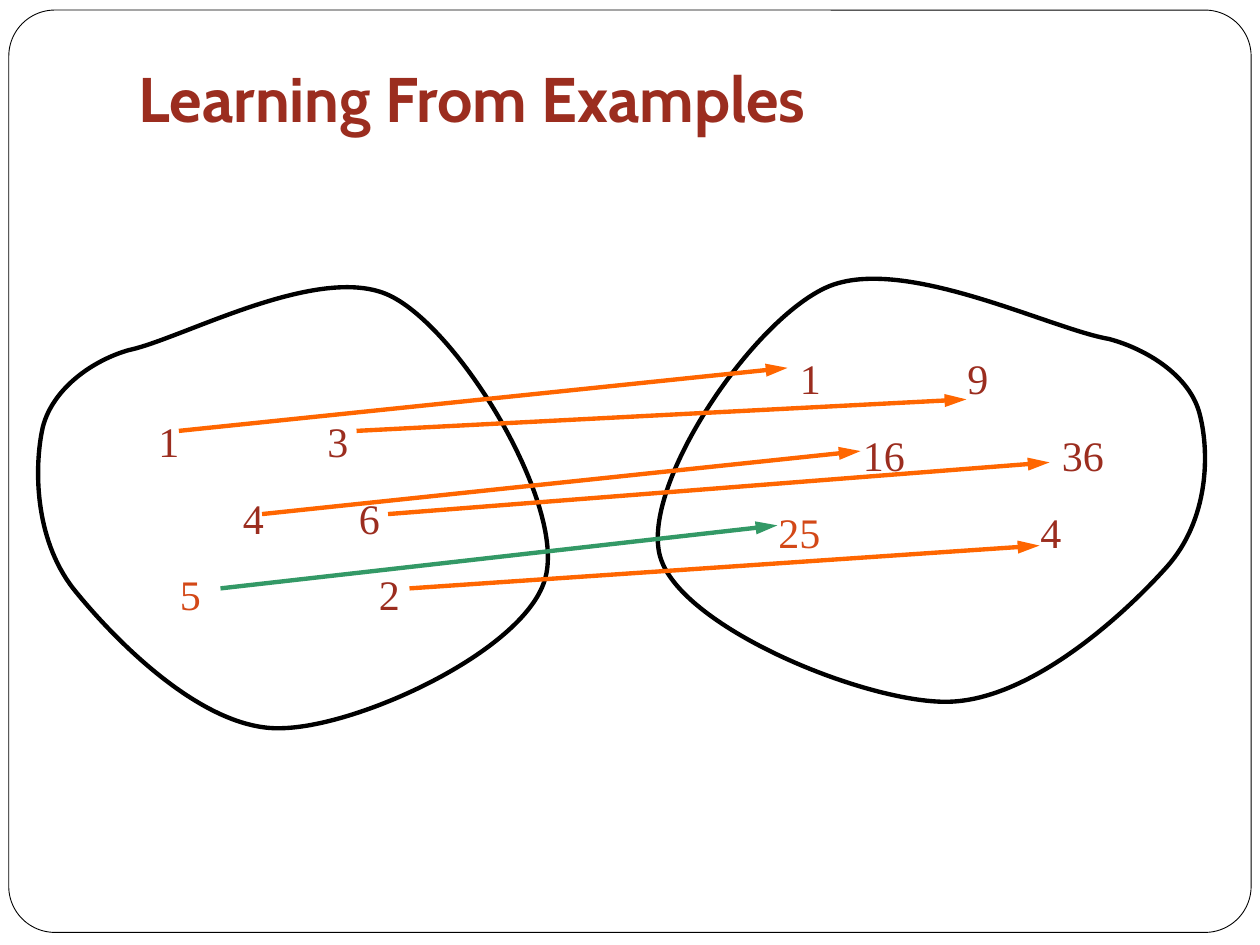
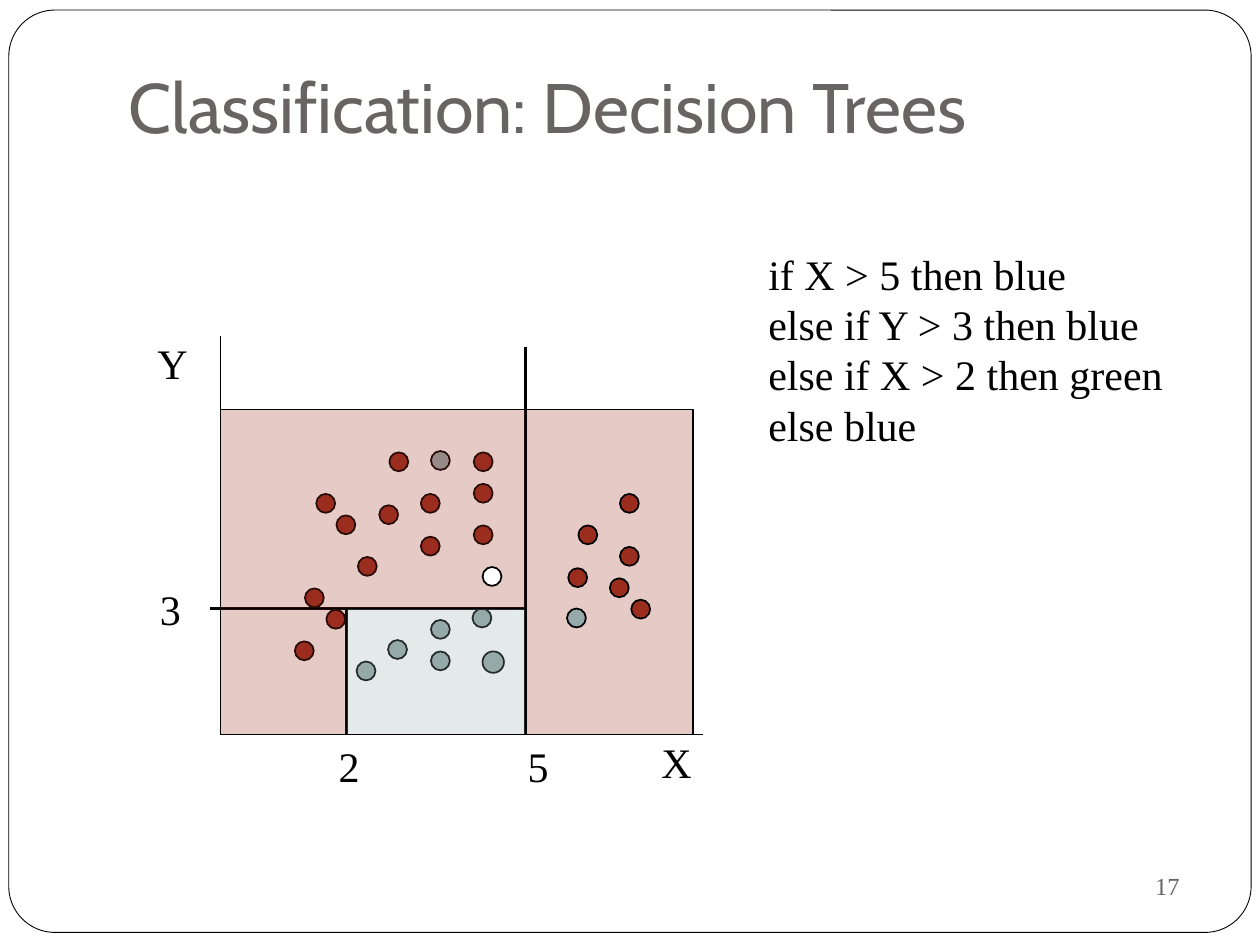
from typing import NamedTuple

import pptx
import pptx.dml.color
import pptx.enum.shapes
import pptx.enum.text
import pptx.oxml
import pptx.oxml.ns
import pptx.util
from pptx.util import Inches

# Shared style
COLOURS = {
    "black": "000000", "white": "FFFFFF", "red": "9B2D1F", "rust": "D34817",
    "grey": "696464", "sage": "96A9A9", "orange": "FF6600", "green": "339966",
}
TITLE_FONT = "Cabin"
BODY_FONT = "Times New Roman"
BODY_SIZE = 24
SHAPES = pptx.enum.shapes.MSO_SHAPE
ALIGN = pptx.enum.text.PP_ALIGN
ANCHOR = pptx.enum.text.MSO_ANCHOR
AUTO_SIZE = pptx.enum.text.MSO_AUTO_SIZE

Point = tuple[float, float]


class Box(NamedTuple):
    left: float
    top: float
    width: float
    height: float

    def lengths(self) -> list:
        return [Inches(value) for value in self]


class Line(NamedTuple):
    start: Point
    end: Point
    colour: str = "black"
    weight: float = 2.5
    arrow: bool = False


class Number(NamedTuple):
    text: str
    indent: float
    colour: str = "red"


class Label(NamedTuple):
    lines: list[str]
    box: Box


class Title(NamedTuple):
    text: str
    box: Box
    size: int
    colour: str
    bold: bool = False
    bottom_inset: float = 0.05


# Helpers
def rgb(name: str) -> pptx.dml.color.RGBColor:
    return pptx.dml.color.RGBColor.from_string(COLOURS[name])


def add_element(parent, tag: str, **attributes: str):
    element = pptx.oxml.parse_xml(f"<a:{tag} {pptx.oxml.ns.nsdecls('a')}/>")
    for name, value in attributes.items():
        element.set(name, value)
    parent.append(element)
    return element


def add_run(paragraph, text: str, colour: str, size: int = BODY_SIZE,
            font: str = BODY_FONT, bold: bool = False) -> None:
    run = paragraph.add_run()
    run.text = text
    run.font.name = font
    run.font.size = pptx.util.Pt(size)
    run.font.bold = bold
    run.font.color.rgb = rgb(colour)


def set_outline(shape, weight: float) -> None:
    shape.shadow.inherit = False
    shape.line.color.rgb = rgb("black")
    shape.line.width = pptx.util.Pt(weight)


def add_shape(slide, kind, box: Box, weight: float, fill: str | None = None,
              opacity: int = 100):
    shape = slide.shapes.add_shape(kind, *box.lengths())
    set_outline(shape, weight)
    if fill is None:
        shape.fill.background()
        return shape
    shape.fill.solid()
    shape.fill.fore_color.rgb = rgb(fill)
    if opacity < 100:
        colour = shape.fill._xPr.find(".//" + pptx.oxml.ns.qn("a:srgbClr"))
        add_element(colour, "alpha", val=str(opacity * 1000))
    return shape


def add_line(slide, line: Line) -> None:
    connector = slide.shapes.add_connector(
        pptx.enum.shapes.MSO_CONNECTOR.STRAIGHT,
        *[Inches(value) for value in line.start + line.end])
    connector.line.color.rgb = rgb(line.colour)
    connector.line.width = pptx.util.Pt(line.weight)
    if line.arrow:
        add_element(connector.line._get_or_add_ln(), "tailEnd",
                    type="triangle", w="med", len="lg")
    add_element(connector._element.spPr, "effectLst")


def add_text_frame(slide, box: Box, wrap: bool):
    frame = slide.shapes.add_textbox(*box.lengths()).text_frame
    frame.word_wrap = wrap
    frame.auto_size = AUTO_SIZE.SHAPE_TO_FIT_TEXT
    return frame


def next_paragraph(frame, index: int):
    return frame.add_paragraph() if index else frame.paragraphs[0]


def add_label(slide, label: Label) -> None:
    frame = add_text_frame(slide, label.box, wrap=False)
    for index, text in enumerate(label.lines):
        add_run(next_paragraph(frame, index), text, "black")


def add_number_rows(slide, box: Box, rows: list[list[Number]]) -> None:
    """Rows of numbers, each number standing at its own tab stop."""
    frame = add_text_frame(slide, box, wrap=True)
    for index, row in enumerate(rows):
        paragraph = next_paragraph(frame, index)
        if index:
            paragraph.space_before = pptx.util.Pt(15)
        tabs = add_element(paragraph._p.get_or_add_pPr(), "tabLst")
        for number in row:
            if number.indent:
                add_element(tabs, "tab", pos=str(Inches(number.indent)), algn="l")
            add_run(paragraph, ("\t" if number.indent else "") + number.text,
                    number.colour)


def add_blob(slide, start: Point, curves: list[tuple[Point, Point, Point]]) -> None:
    """Closed outline through cubic curves: two handles and an end each."""
    start_x, start_y = (round(value * 100) for value in start)
    vertices = [(round(x * 100), round(y * 100)) for curve in curves for x, y in curve]
    builder = slide.shapes.build_freeform(start_x, start_y, scale=Inches(0.01))
    builder.add_line_segments(vertices, close=True)
    shape = builder.convert_to_shape()
    set_outline(shape, 2.5)
    shape.fill.background()
    # Join each three straight segments into one cubic curve
    segments = list(shape._element.iter(pptx.oxml.ns.qn("a:lnTo")))
    for index in range(0, len(segments), 3):
        group = segments[index:index + 3]
        curve = add_element(group[0].getparent(), "cubicBezTo")
        group[0].addprevious(curve)
        for segment in group:
            curve.append(segment[0])
            segment.getparent().remove(segment)


def add_titled_slide(presentation, title: Title):
    slide = presentation.slides.add_slide(presentation.slide_layouts[5])
    frame_shape = add_shape(slide, SHAPES.ROUNDED_RECTANGLE,
                            Box(0.07, 0.08, 9.86, 7.32), 0.5)
    frame_shape.adjustments[0] = 0.05
    shape = slide.shapes.title
    shape.left, shape.top, shape.width, shape.height = title.box.lengths()
    frame = shape.text_frame
    frame.word_wrap = True
    frame.auto_size = AUTO_SIZE.NONE
    frame.vertical_anchor = ANCHOR.BOTTOM
    frame.margin_bottom = Inches(title.bottom_inset)
    paragraph = frame.paragraphs[0]
    paragraph.alignment = ALIGN.LEFT
    add_run(paragraph, title.text, title.colour, title.size, TITLE_FONT, title.bold)
    return slide


# Slide 1: inputs mapped to their squares
def build_examples_slide(presentation) -> None:
    slide = add_titled_slide(presentation, Title(
        "Learning From Examples", Box(1, 0.38, 8.5, 0.78), 36, "red", True, 0.09))

    add_blob(slide, (1.02, 2.78), [
        ((0.74, 2.86), (0.42, 3.08), (0.34, 3.39)),
        ((0.27, 3.7), (0.27, 4.27), (0.58, 4.67)),
        ((0.9, 5.07), (1.61, 5.8), (2.23, 5.78)),
        ((2.86, 5.77), (4.19, 5.15), (4.33, 4.58)),
        ((4.48, 4.01), (3.68, 2.66), (3.12, 2.36)),
        ((2.57, 2.06), (1.45, 2.69), (1.02, 2.78))])
    add_number_rows(slide, Box(1.08, 3.25, 2.67, 2.94), [
        [Number("1", 0.08), Number("3", 1.42)],
        [Number("4", 0.75), Number("6", 1.67)],
        [Number("5", 0.25, "rust"), Number("2", 1.83)]])

    add_blob(slide, (8.8, 2.69), [
        ((9.1, 2.77), (9.44, 2.98), (9.52, 3.28)),
        ((9.6, 3.58), (9.6, 4.12), (9.26, 4.5)),
        ((8.92, 4.88), (8.16, 5.58), (7.49, 5.57)),
        ((6.82, 5.56), (5.4, 4.97), (5.24, 4.42)),
        ((5.08, 3.87), (5.94, 2.58), (6.54, 2.29)),
        ((7.13, 2), (8.33, 2.61), (8.8, 2.69))])
    add_number_rows(slide, Box(6.08, 2.75, 3, 1.72), [
        [Number("1", 0.17), Number("9", 1.5)],
        [Number("16", 0.67), Number("36", 2.25)],
        [Number("25", 0, "rust"), Number("4", 2.08)]])

    for start, end, colour in [
            ((3.25, 4.67), (8.25, 4.33), "orange"),
            ((2.83, 3.42), (7.67, 3.17), "orange"),
            ((1.42, 3.42), (6.25, 2.92), "orange"),
            ((3.08, 4.08), (8.33, 3.67), "orange"),
            ((2.08, 4.08), (6.83, 3.58), "orange"),
            ((1.75, 4.67), (6.17, 4.17), "green")]:
        add_line(slide, Line(start, end, colour, arrow=True))


# Slide 2: plane split into regions
def build_tree_slide(presentation) -> None:
    slide = add_titled_slide(presentation, Title(
        "Classification: Decision Trees", Box(0.92, 0.42, 8.5, 0.8), 40, "grey"))

    # Slide number
    number_box = slide.shapes.add_textbox(*Box(6.75, 6.77, 2.71, 0.52).lengths())
    number_box.text_frame.word_wrap = True
    number_box.text_frame.vertical_anchor = ANCHOR.MIDDLE
    paragraph = number_box.text_frame.paragraphs[0]
    paragraph.alignment = ALIGN.RIGHT
    add_run(paragraph, "17", "grey", 14)

    # Plot edges and splits
    left, split_2, split_5, right = 1.75, 2.75, 4.17, 5.5
    top, split_3, bottom = 3.25, 4.83, 5.83

    def add_region(x1: float, y1: float, x2: float, y2: float, fill: str) -> None:
        add_shape(slide, SHAPES.RECTANGLE, Box(x1, y1, x2 - x1, y2 - y1), 0.75,
                  fill, opacity=25)

    def add_dots(fill: str, corners: list[Point], size: float = 0.15) -> None:
        for x, y in corners:
            add_shape(slide, SHAPES.OVAL, Box(x, y, size, size), 1, fill)

    add_region(split_5, top, right, bottom, "red")
    add_line(slide, Line((left, 2.67), (left, bottom), weight=1))
    add_line(slide, Line((left, bottom), (5.58, bottom), weight=1))

    # Data points
    add_dots("red", [
        (2.51, 3.92), (2.67, 4.09), (3.01, 4.01), (3.34, 3.92), (2.42, 4.67),
        (3.76, 3.59), (2.84, 4.42), (3.34, 4.26), (3.76, 4.17), (2.59, 4.84),
        (2.34, 5.09), (3.09, 3.59), (3.76, 3.84), (4.92, 3.92), (4.59, 4.17),
        (4.51, 4.51), (4.84, 4.59), (5.01, 4.76), (4.92, 4.34)])
    add_dots("sage", [
        (2.83, 5.25), (3.08, 5.08), (3.42, 5.17), (3.42, 4.92), (3.75, 4.83),
        (3.42, 3.58), (4.5, 4.83)])
    add_dots("sage", [(3.83, 5.17)], size=0.17)

    # Split lines and the tinted regions over them
    for start, end in [((split_5, 2.75), (split_5, bottom)),
                       ((split_5, split_3), (1.67, split_3)),
                       ((split_2, split_3), (split_2, bottom))]:
        add_line(slide, Line(start, end, weight=2))
    add_region(left, top, split_5, split_3, "red")
    add_region(left, split_3, split_2, bottom, "red")
    add_region(split_2, split_3, split_5, bottom, "sage")

    # Axis labels and rules
    for label in [
            Label(["X"], Box(5.15, 5.8, 0.44, 0.5)),
            Label(["Y"], Box(1.15, 2.63, 0.44, 0.5)),
            Label(["if X > 5 then blue", "else if Y > 3 then blue",
                   "else if X > 2 then green", "else blue"],
                  Box(6, 1.92, 3.33, 1.7)),
            Label(["5"], Box(4.09, 5.83, 0.36, 0.5)),
            Label(["2"], Box(2.59, 5.83, 0.36, 0.5)),
            Label(["3"], Box(1.17, 4.58, 0.36, 0.5))]:
        add_label(slide, label)

    # Point to classify
    add_dots("white", [(3.83, 4.5)])


def main() -> None:
    presentation = pptx.Presentation()
    presentation.slide_width = Inches(10)
    presentation.slide_height = Inches(7.5)
    build_examples_slide(presentation)
    build_tree_slide(presentation)
    presentation.save("out.pptx")


if __name__ == "__main__":
    main()
